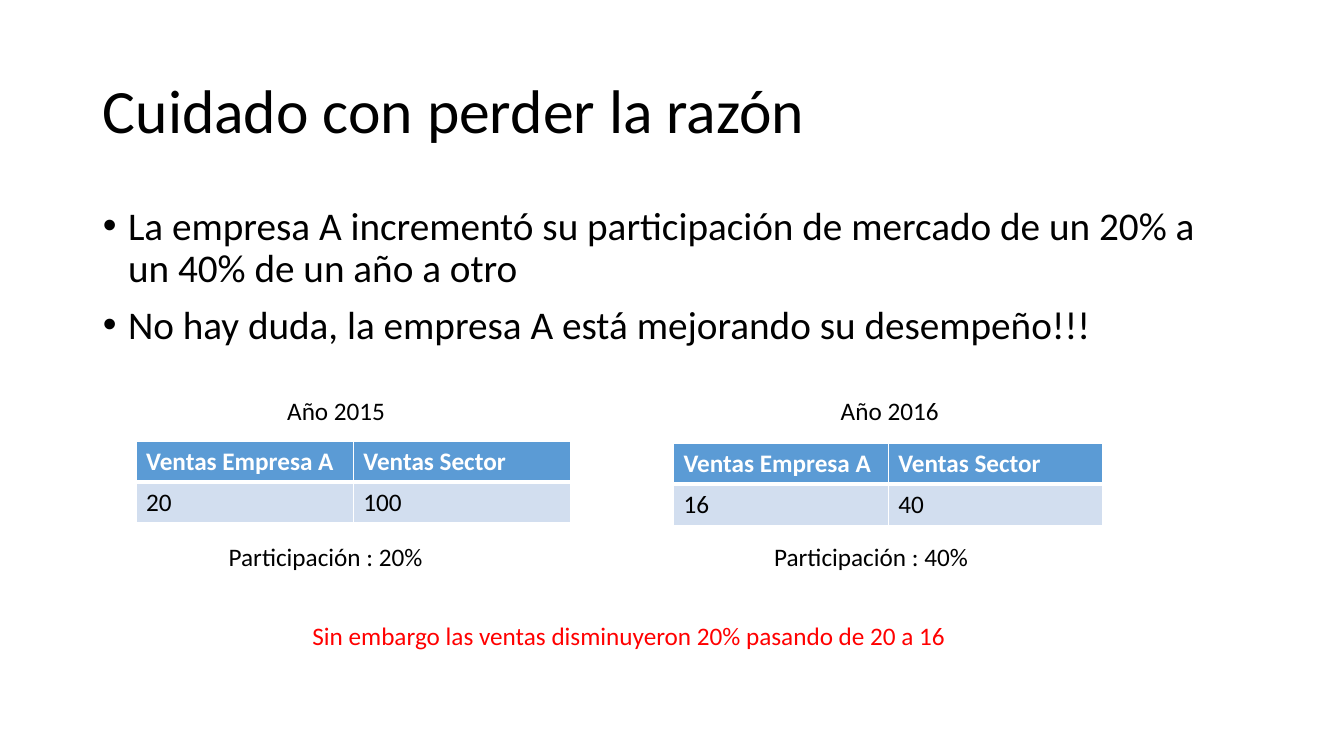
from lxml import etree
from pptx import Presentation
from pptx.dml.color import RGBColor
from pptx.enum.text import MSO_ANCHOR, MSO_AUTO_SIZE, PP_ALIGN
from pptx.oxml.ns import qn
from pptx.util import Inches, Pt

LEFT = PP_ALIGN.LEFT
TOP, MIDDLE = MSO_ANCHOR.TOP, MSO_ANCHOR.MIDDLE
NO_FIT, GROW = MSO_AUTO_SIZE.NONE, MSO_AUTO_SIZE.SHAPE_TO_FIT_TEXT

FONT = "Calibri"
COLOURS = {"text": "000000", "warning": "FF0000", "white": "FFFFFF",
           "header": "5B9BD5", "band": "D2DEEF"}

TITLE = "Cuidado con perder la razón"
BULLETS = [
    "La empresa A incrementó su participación de mercado de un 20% a un 40% de un año a otro",
    "No hay duda, la empresa A está mejorando su desempeño!!!",
]
HEADINGS = ("Ventas Empresa A", "Ventas Sector")
YEARS = [
    {"label": "Año 2015", "label_left": 2.75, "sales": ("20", "100"),
     "table": (1.35, 4.38, 4.31), "share": "Participación : 20%", "share_left": 2.17},
    {"label": "Año 2016", "label_left": 8.24, "sales": ("16", "40"),
     "table": (6.68, 4.4, 4.26), "share": "Participación : 40%", "share_left": 7.58},
]
WARNING = "Sin embargo las ventas disminuyeron 20% pasando de 20 a 16"

LABEL_TOP, SHARE_TOP, WARNING_TOP = 3.87, 5.32, 6.11
ROW_HEIGHT = 0.405
THIN, THICK = 1, 3


def style(paragraph, size, colour="text", bold=False):
    """Set the font of a whole paragraph."""
    font = paragraph.font
    font.name, font.size, font.bold = FONT, Pt(size), bold
    font.color.rgb = RGBColor.from_string(COLOURS[colour])


def fill_placeholder(box, area, lines, size, anchor, space_before=0):
    """Place a template placeholder and write its paragraphs."""
    box.left, box.top, box.width, box.height = map(Inches, area)
    frame = box.text_frame
    frame.text = "\n".join(lines)
    frame.auto_size, frame.vertical_anchor = NO_FIT, anchor
    for paragraph in frame.paragraphs:
        paragraph.alignment = LEFT
        paragraph.line_spacing = 0.9
        paragraph.space_before = Pt(space_before)
        style(paragraph, size)


def add_label(page, text, left, top, width, colour="text"):
    """Add a one-line text box."""
    box = page.shapes.add_textbox(*map(Inches, (left, top, width, 0.4)))
    frame = box.text_frame
    frame.word_wrap, frame.auto_size = False, GROW
    frame.text = text
    style(frame.paragraphs[0], 18, colour)


def add_borders(cell, widths):
    """Draw white borders, given as a width in points for each side."""
    properties = cell._tc.get_or_add_tcPr()
    for side, width in widths.items():
        line = etree.SubElement(properties, qn("a:ln" + side), w=str(Pt(width)))
        fill = etree.SubElement(line, qn("a:solidFill"))
        etree.SubElement(fill, qn("a:srgbClr"), val=COLOURS["white"])


def add_sales_table(page, area, sales):
    """Add the table of company and sector sales for one year."""
    left, top, width = area
    rows = (HEADINGS, sales)
    table = page.shapes.add_table(
        len(rows), len(HEADINGS), Inches(left), Inches(top),
        Inches(width), Inches(ROW_HEIGHT * len(rows))).table
    for row, texts in enumerate(rows):
        is_header = row == 0
        for column, text in enumerate(texts):
            cell = table.cell(row, column)
            cell.text = text
            style(cell.text_frame.paragraphs[0], 18,
                  "white" if is_header else "text", is_header)
            add_borders(cell, {"L": THIN, "R": THIN,
                               "T": THIN if is_header else THICK,
                               "B": THICK if is_header else THIN})
            cell.fill.solid()
            cell.fill.fore_color.rgb = RGBColor.from_string(
                COLOURS["header" if is_header else "band"])


deck = Presentation()
deck.slide_width, deck.slide_height = Inches(13.33), Inches(7.5)
page = deck.slides.add_slide(deck.slide_layouts[1])

fill_placeholder(page.shapes.title, (0.92, 0.4, 11.5, 1.45), [TITLE], 44, MIDDLE)
body = page.placeholders[1]
fill_placeholder(body, (0.92, 2, 11.5, 1.78), BULLETS, 28, TOP, space_before=10)
for paragraph in body.text_frame.paragraphs:
    properties = paragraph._p.get_or_add_pPr()
    properties.set("marL", str(Inches(0.25)))
    properties.set("indent", str(Inches(-0.25)))

for year in YEARS:
    add_label(page, year["label"], year["label_left"], LABEL_TOP, 1.18)
    add_sales_table(page, year["table"], year["sales"])
    add_label(page, year["share"], year["share_left"], SHARE_TOP, 2.15)
add_label(page, WARNING, 3, WARNING_TOP, 6.55, "warning")

deck.save("out.pptx")
